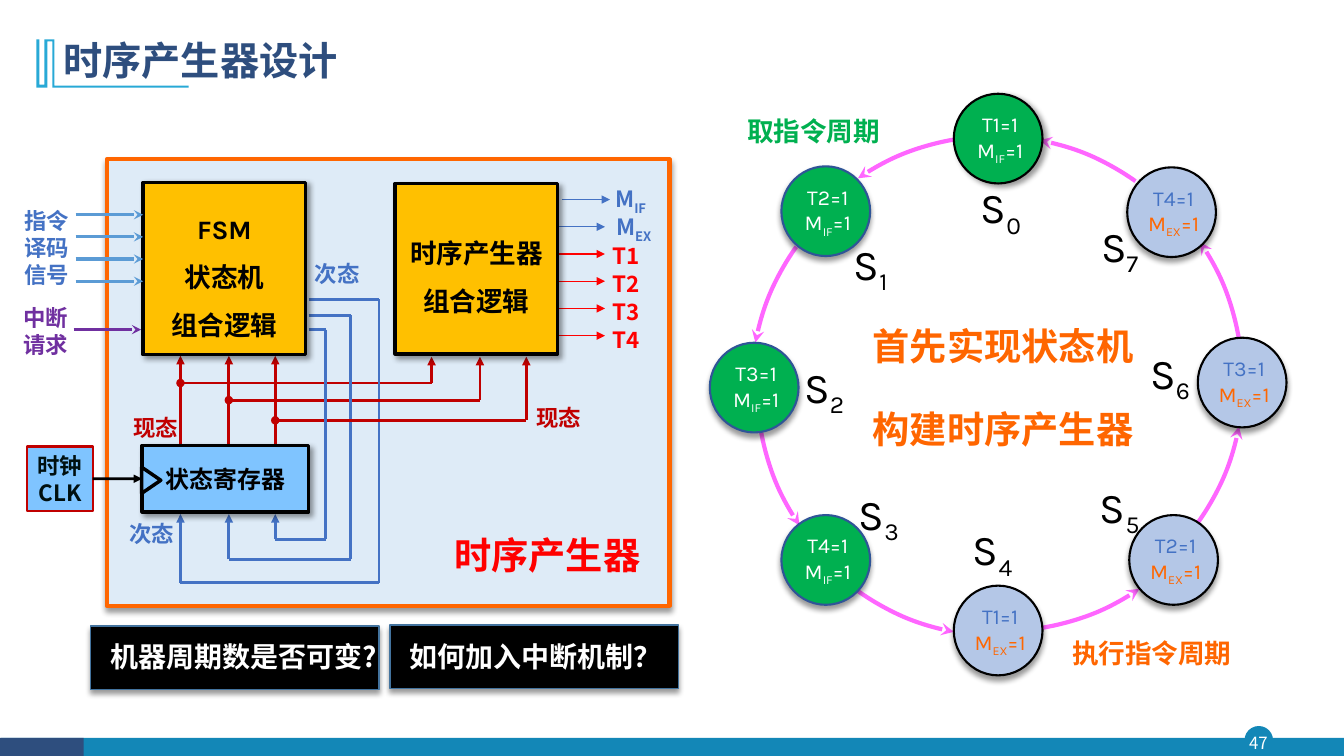
from lxml import etree
from pptx import Presentation
from pptx import util as u
from pptx.dml.color import RGBColor
from pptx.enum import shapes, text
from pptx.oxml import ns

WHITE, BLACK = RGBColor(255, 255, 255), RGBColor(0, 0, 0)
NAVY, TEAL, CYAN = RGBColor(0x2E, 0x4E, 0x7E), RGBColor(0x13, 0x87, 0xB7), RGBColor(0x28, 0xA9, 0xD6)
ORANGE, RED, CRIMSON = RGBColor(255, 0x66, 0), RGBColor(255, 0, 0), RGBColor(0xC0, 0, 0)
BLUE, SKY, DEEP = RGBColor(0x44, 0x72, 0xC4), RGBColor(0x5B, 0x9B, 0xD5), RGBColor(0x2F, 0x55, 0x97)
PALE, LILAC, AZURE = RGBColor(0xDE, 0xEB, 0xF7), RGBColor(0xB4, 0xC7, 0xE7), RGBColor(0x7F, 0xC4, 0xFF)
GREEN, GOLD, PINK = RGBColor(0, 0xB0, 0x50), RGBColor(255, 0xC0, 0), RGBColor(255, 0x66, 255)
PURPLE, STEEL, INK = RGBColor(0x70, 0x30, 0xA0), RGBColor(0x43, 0x73, 0x9E), RGBColor(0, 0x10, 0x10)
KARLA, NOTO = "Karla", "Noto Sans CJK SC"
KIND = shapes.MSO_SHAPE


class Board:
    def __init__(self, slide):
        self.slide = slide
        self.shapes = slide.shapes

    def child(self, parent, tag, **attributes):
        return etree.SubElement(parent, ns.qn(tag), attributes)

    def fill_text(self, frame, lines, size, colors, font=NOTO, bold=True, spacing=None,
                  gap=None, align=text.PP_ALIGN.CENTER):
        frame.text = "\n".join(lines)
        for i, (paragraph, line) in enumerate(zip(frame.paragraphs, lines)):
            paragraph.alignment = align
            if spacing:
                paragraph.line_spacing = spacing
            if gap:
                paragraph.space_after = u.Pt(gap)
                if i:
                    paragraph.space_before = u.Pt(gap)
            pieces = line.split("_")
            paragraph.text = pieces[0]
            for piece in pieces[1:]:
                paragraph.add_run().text = piece
            for j, run in enumerate(paragraph.runs):
                run.font.size = u.Pt(size)
                run.font.bold = bold
                run.font.name = font
                run.font.color.rgb = colors[min(i, len(colors) - 1)]
                properties = run.font._element
                self.child(properties, "a:ea", typeface=NOTO)
                if j % 2:
                    properties.set("baseline", "-25000")

    def label(self, box, lines, size, color, wrap=True, **style):
        frame = self.shapes.add_textbox(*map(u.Inches, box)).text_frame
        frame.word_wrap = wrap
        self.fill_text(frame, lines, size, [color], **style)
        return frame

    def block(self, box, fill=None, line=None, width=1, kind=KIND.RECTANGLE, shadow=None):
        shape = self.shapes.add_shape(kind, *map(u.Inches, box))
        self.paint(shape, fill, line, width)
        if shadow is not None:
            effects = shape._element.spPr.find(ns.qn("a:effectLst"))
            outer = self.child(effects, "a:outerShdw", blurRad="50800", dist="38100",
                               dir=str(shadow * 60000), algn="t", rotWithShape="0")
            self.child(self.child(outer, "a:prstClr", val="black"), "a:alpha", val="40000")
        return shape

    def paint(self, shape, fill, line, width=1):
        shape.shadow.inherit = False
        if fill is None:
            shape.fill.background()
        else:
            shape.fill.solid()
            shape.fill.fore_color.rgb = fill
        if line is None:
            shape.line.fill.background()
        else:
            shape.line.color.rgb = line
            shape.line.width = u.Pt(width)

    def wire(self, x1, y1, x2, y2, color, width=2, head=None, tail=None):
        wire = self.shapes.add_connector(shapes.MSO_CONNECTOR.STRAIGHT,
                                         *map(u.Inches, (x1, y1, x2, y2)))
        wire.line.color.rgb = color
        wire.line.width = u.Pt(width)
        self.ends(wire, head, tail)
        self.child(wire._element.spPr, "a:effectLst")
        return wire

    def ends(self, shape, head=None, tail=None):
        outline = shape.line._get_or_add_ln()
        for tag, end in (("a:headEnd", head), ("a:tailEnd", tail)):
            if end:
                self.child(outline, tag, type=end)

    def arc(self, left, top, turn):
        arc = self.block((left, top, 4.81, 4.81), None, PINK, 3, KIND.ARC)
        arc.adjustments[0], arc.adjustments[1] = 168.42, 183.31
        arc.rotation = turn
        self.ends(arc, head="stealth")

    def outline(self, points, fill):
        scaled = [(u.Inches(x), u.Inches(y)) for x, y in points]
        builder = self.shapes.build_freeform(*scaled[0])
        builder.add_line_segments(scaled[1:])
        self.paint(builder.convert_to_shape(), fill, None)


def draw_frame(board):
    board.block((12.35, 7.21, 0.27, 0.27), TEAL, TEAL, 1, KIND.OVAL)
    board.block((0.01, 7.32, 13.32, 0.19), TEAL)
    board.block((0, 7.32, 0.83, 0.19), NAVY)
    number = board.label((12.32, 7.21, 0.32, 0.31), ["47"], 12, WHITE, bold=False)
    number.margin_left = number.margin_right = number.margin_top = number.margin_bottom = 0
    number.vertical_anchor = text.MSO_ANCHOR.MIDDLE
    board.outline([(0.54, 0.39), (0.54, 0.85), (1.87, 0.85), (1.87, 0.87), (0.52, 0.87),
                   (0.52, 0.41), (0.47, 0.41), (0.47, 0.87), (0.36, 0.87), (0.36, 0.39),
                   (0.39, 0.39), (0.39, 0.84), (0.44, 0.84), (0.44, 0.39)], CYAN)
    title = board.shapes.title
    title.left, title.top, title.width, title.height = map(u.Inches, (0.53, 0.28, 11.5, 0.68))
    title.text_frame.vertical_anchor = text.MSO_ANCHOR.MIDDLE
    board.fill_text(title.text_frame, ["时序产生器设计"], 28, [NAVY], spacing=0.9,
                    align=text.PP_ALIGN.LEFT)


def draw_cycle(board):
    for left, top, turn in ((7.54, 1.45, 135), (7.52, 1.38, 90), (7.51, 1.35, 45), (7.46, 1.35, 0),
                            (7.46, 1.35, 315), (7.45, 1.44, 270), (7.51, 1.45, 225), (7.5, 1.5, 180)):
        board.arc(left, top, turn)
    states = [(9.46, 0.93, 9.55, 1.75), (7.75, 1.65, 8.26, 2.31), (7.04, 3.4, 7.8, 3.53),
              (7.75, 5.11, 8.34, 4.79), (9.46, 5.81, 9.47, 5.14), (11.2, 5.11, 10.73, 4.72),
              (11.88, 3.35, 11.23, 3.39), (11.18, 1.66, 10.73, 2.13)]
    for i, (left, top, name_left, name_top) in enumerate(states):
        fetching = i < 4
        board.label((name_left, name_top, 0.75, 0.61), [f"S_{i}"], 30.3, BLACK, font=KARLA, bold=False)
        state = board.block((left, top, 0.88, 0.89), GREEN if fetching else LILAC,
                            DEEP if 0 < i < 4 else BLACK, 1.5, KIND.OVAL, 90 if i else 45)
        frame = state.text_frame
        frame.word_wrap = False
        frame.margin_left, frame.margin_right = u.Inches(0.04), 0
        frame.vertical_anchor = text.MSO_ANCHOR.MIDDLE
        board.fill_text(frame, [f"T{i % 4 + 1}=1", "M_IF_=1" if fetching else "M_EX_=1"], 15.2,
                        [WHITE] if fetching else [BLUE, ORANGE], font=KARLA, bold=False)
    board.label((7.05, 1.09, 2.04, 0.42), ["取指令周期"], 19, GREEN, font=KARLA)
    board.label((10.38, 6.27, 2.09, 0.42), ["执行指令周期"], 19, ORANGE, font=KARLA)
    board.label((7.39, 2.94, 5.12, 1.61), ["首先实现状态机", "构建时序产生器"], 26.6, ORANGE,
                font=KARLA, spacing=1.5, gap=5.7)


def draw_generator(board):
    board.block((1.06, 1.58, 5.58, 4.43), PALE, ORANGE, 3, shadow=90)
    board.label((4.13, 5.23, 2.6, 0.55), ["时序产生器"], 26.6, RED)

    outputs = [("M_IF", 0.57), ("M_EX", 0.63), ("T1", 0.48), ("T2", 0.48), ("T3", 0.48), ("T4", 0.48)]
    for i, (signal, width) in enumerate(outputs):
        color = BLUE if i < 2 else RED
        start, y = 5.52 if i else 5.57, 1.98 + 0.27 * i
        board.wire(start, y, start + 0.48, y, color, 1, tail="triangle")
        board.label((5.97, 1.79 + 0.28 * i, width, 0.37), [signal], 16, color, wrap=False)

    buses = [(1.79, 3.8, 4.28, 5.78, 3.76, 2.97), (2.27, 3.97, 4.76, 5.55, 3.48, 3.13),
             (2.73, 4.17, 5.22, 5.35, 3.23, 3.27)]
    for x, branch, target, low, side, high in buses:
        board.wire(x, 4.5, x, 3.53, CRIMSON, tail="triangle")
        board.wire(x, branch, target, branch, CRIMSON, head="oval")
        board.wire(target, branch, target, 3.54, CRIMSON, tail="triangle")
        board.wire(3.06, high, side, high, BLUE)
        board.wire(side, high, side, low, BLUE)
        board.wire(x, low, side, low, BLUE)
        board.wire(x, low, x, 5.1, BLUE, tail="triangle")
    for left, top, name, color in ((1.16, 4.06, "现态", CRIMSON), (5.16, 3.96, "现态", CRIMSON),
                                   (2.96, 2.53, "次态", BLUE), (1.12, 5.11, "次态", BLUE)):
        board.label((left, top, 0.77, 0.37), [name], 16, color)

    logic = board.block((3.92, 1.82, 1.61, 1.69), GOLD, BLACK, 2.5, shadow=45)
    board.fill_text(logic.text_frame, ["时序产生器", "组合逻辑"], 19, [BLACK], font=KARLA, spacing=1.5)
    machine = board.block((1.42, 1.81, 1.61, 1.71), GOLD, BLACK, 2.5, shadow=45)
    board.fill_text(machine.text_frame, ["FSM", "状态机", "组合逻辑"], 19, [BLACK], font=KARLA, spacing=1.5)
    register = board.block((1.41, 4.42, 1.65, 0.66), AZURE, BLACK, 2.5, shadow=45)
    board.fill_text(register.text_frame, ["状态寄存器"], 17.1, [BLACK], font=KARLA)
    clock = board.block((0.27, 4.43, 0.65, 0.64), AZURE, CRIMSON, 1.5)
    clock.text_frame.word_wrap = False
    board.fill_text(clock.text_frame, ["时钟", "CLK"], 16, [INK])
    tick = board.wire(0.92, 4.75, 1.41, 4.75, BLACK, tail="triangle")
    tick.begin_connect(clock, 3)
    tick.end_connect(register, 1)
    board.block((1.37, 4.67, 0.26, 0.19), AZURE, BLACK, 2.5, KIND.ISOSCELES_TRIANGLE).rotation = 90


def draw_inputs(board):
    for i in range(4):
        y = 2.13 + 0.22 * i
        board.wire(0.75, y, 1.42, y, SKY, 2.25, tail="stealth")
    board.wire(0.73, 3.27, 1.4, 3.27, PURPLE, 2.25, tail="stealth")
    board.label((0.08, 2.01, 0.77, 0.91), ["指令译码信号"], 16, BLUE)
    board.label((0.07, 2.97, 0.77, 0.64), ["中断请求"], 16, PURPLE)


def draw_questions(board):
    for left, top, question in ((0.9, 6.21, "机器周期数是否可变?"), (3.87, 6.2, "如何加入中断机制？")):
        board.block((left, top, 2.86, 0.63), BLACK, STEEL, 1, shadow=90)
        board.label((left + 0.09, 6.3, 2.71, 0.44), [question], 20, WHITE)


def main():
    deck = Presentation()
    deck.slide_width, deck.slide_height = u.Inches(13.33), u.Inches(7.5)
    board = Board(deck.slides.add_slide(deck.slide_layouts[5]))
    for draw in (draw_frame, draw_cycle, draw_generator, draw_inputs, draw_questions):
        draw(board)
    deck.save("out.pptx")


if __name__ == "__main__":
    main()
